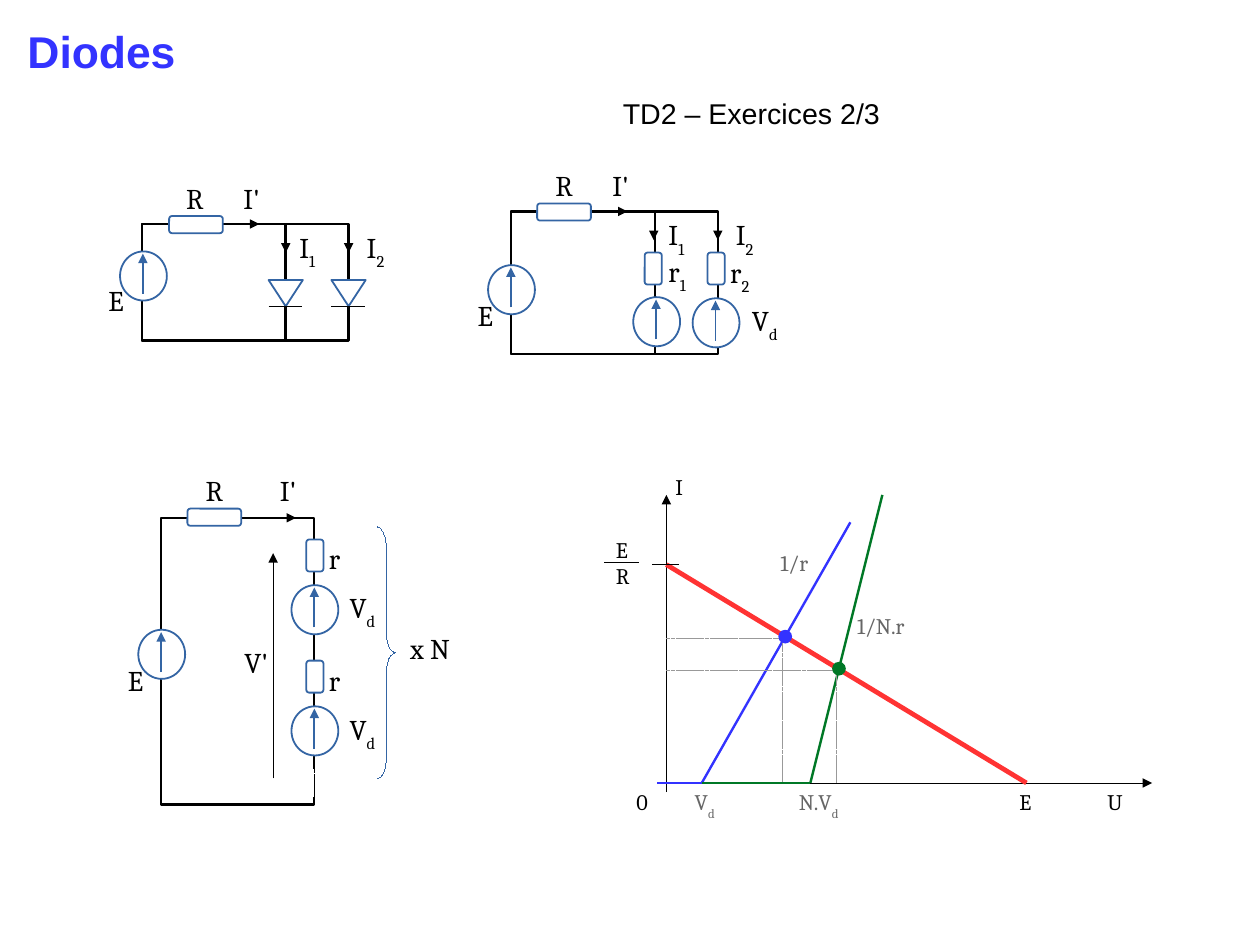
from lxml import etree
from pptx import Presentation
from pptx.dml.color import RGBColor
from pptx.enum.dml import MSO_LINE
from pptx.enum.shapes import MSO_CONNECTOR, MSO_SHAPE as SHAPE
from pptx.enum.text import MSO_ANCHOR, MSO_AUTO_SIZE, PP_ALIGN
from pptx.oxml.ns import qn
from pptx.util import Inches, Pt

COLORS = {
    "black": "000000", "white": "FFFFFF", "part": "3465A4", "blue": "3333FF",
    "red": "FF3333", "green": "007826", "gray": "666666", "guide": "999999",
}
HAIRLINE = 0.01

# The page measures 28 by 21 centimetres
deck = Presentation()
deck.slide_width, deck.slide_height = Inches(28 / 2.54), Inches(21 / 2.54)
page = deck.slides.add_slide(deck.slide_layouts[5])


def color(name):
    return RGBColor.from_string(COLORS[name])


def add_part(kind, left, top, width, height, fill="white", line="part", weight=1.13):
    """Draw a preset shape; fill or line may be None."""
    part = page.shapes.add_shape(kind, Inches(left), Inches(top), Inches(width), Inches(height))
    part.shadow.inherit = False
    if fill:
        part.fill.solid()
        part.fill.fore_color.rgb = color(fill)
    else:
        part.fill.background()
    if line:
        part.line.color.rgb = color(line)
        part.line.width = Pt(weight)
    else:
        part.line.fill.background()
    return part


# Title
title = page.shapes.title
title.left, title.top, title.width, title.height = map(Inches, (0.14, 0.16, 2.57, 0.97))
frame = title.text_frame
frame.auto_size = MSO_AUTO_SIZE.NONE
frame.vertical_anchor = MSO_ANCHOR.TOP
para = frame.paragraphs[0]
para.alignment = PP_ALIGN.LEFT
span = para.add_run()
span.text = "Diodes"
span.font.name, span.font.size, span.font.bold = "Arial", Pt(28), True
span.font.color.rgb = color("blue")

# Wires: outer loops and the inner parallel branch
for left, top, width, height in [
    (1.41, 4.53, 1.34, 2.51),
    (1.24, 1.96, 1.81, 1.02), (1.24, 1.96, 1.26, 1.02),
    (4.47, 1.85, 1.81, 1.25), (4.47, 1.85, 1.26, 1.25),
]:
    add_part(SHAPE.RECTANGLE, left, top, width, height, None, "black", 1.5)
add_part(SHAPE.RECTANGLE, 2.59, 6.73, 0.31, 0.24, "white", "white", HAIRLINE)

# Lines: start, end, colour, weight, style
lines = []

# Diodes
for left in (2.35, 2.9):
    add_part(SHAPE.FLOWCHART_MERGE, left, 2.45, 0.3, 0.23)
    lines.append(((left, 2.68), (left + 0.29, 2.68), "black", 1.02, ""))

# Voltage sources
for left, top in [
    (1.05, 2.2), (4.27, 2.32), (5.54, 2.6), (6.06, 2.61),
    (2.55, 5.12), (2.55, 6.18), (1.21, 5.51),
]:
    add_part(SHAPE.OVAL, left, top, 0.41, 0.43)
    lines.append(((left + 0.2, top + 0.37), (left + 0.2, top + 0.02), "part", 1.13, "arrow"))

# Resistors
flat, upright = (0.47, 0.15), (0.15, 0.28)
for left, top, (width, height) in [
    (1.48, 1.89, flat), (4.7, 1.78, flat), (1.64, 4.45, flat),
    (5.64, 2.21, upright), (6.19, 2.21, upright),
    (2.68, 4.72, upright), (2.68, 5.78, upright),
]:
    resistor = add_part(SHAPE.ROUNDED_RECTANGLE, left, top, width, height)
    resistor.adjustments[0] = 0.17

brace = add_part(SHAPE.RIGHT_BRACE, 3.3, 4.61, 0.16, 2.2, None, "part", HAIRLINE)
brace.adjustments[0] = 1.13

# Current arrows
for x, y in [(2.11, 1.96), (5.33, 1.85), (2.43, 4.53)]:
    lines.append(((x, y), (x + 0.16, y), "black", HAIRLINE, "arrow"))
for x, y in [(2.5, 2.04), (3.05, 2.04), (5.72, 1.93), (6.28, 1.93)]:
    lines.append(((x, y), (x, y + 0.17), "black", HAIRLINE, "arrow"))

lines += [
    ((2.75, 6.73), (2.75, 6.97), "black", HAIRLINE, "dash"),
    ((2.39, 6.81), (2.39, 4.84), "black", HAIRLINE, "arrow"),
    # Graph axes, load line and diode curves
    ((5.75, 6.85), (10.08, 6.85), "black", HAIRLINE, "arrow"),
    ((5.83, 6.93), (5.83, 4.33), "black", HAIRLINE, "arrow"),
    ((5.83, 4.94), (8.98, 6.85), "red", 3, ""),
    ((6.14, 6.85), (7.44, 4.57), "blue", 1.5, ""),
    ((5.71, 4.94), (5.94, 4.94), "black", HAIRLINE, ""),
    ((5.29, 4.92), (5.59, 4.92), "black", HAIRLINE, ""),
    ((6.85, 6.85), (6.85, 5.59), "guide", HAIRLINE, "dash"),
    ((5.83, 5.59), (6.81, 5.59), "guide", HAIRLINE, "dash"),
    ((6.14, 6.85), (5.75, 6.85), "blue", 1.5, ""),
    ((7.09, 6.85), (6.14, 6.85), "green", 1.5, ""),
    ((7.09, 6.85), (7.72, 4.33), "green", 1.5, ""),
    ((7.32, 6.85), (7.32, 5.91), "guide", HAIRLINE, "dash"),
    ((5.83, 5.87), (7.32, 5.87), "guide", HAIRLINE, "dash"),
]
for start, end, tint, weight, style in lines:
    link = page.shapes.add_connector(MSO_CONNECTOR.STRAIGHT, *map(Inches, start + end))
    link.line.color.rgb = color(tint)
    link.line.width = Pt(weight)
    if style == "dash":
        link.line.dash_style = MSO_LINE.SQUARE_DOT
    properties = link._element.spPr
    if style == "arrow":
        etree.SubElement(properties.find(qn("a:ln")), qn("a:tailEnd"), type="triangle")
    etree.SubElement(properties, qn("a:effectLst"))

# Operating points
for left, top, tint in [(6.81, 5.51, "blue"), (7.28, 5.79, "green")]:
    add_part(SHAPE.OVAL, left, top, 0.12, 0.12, tint, None)

# Labels; an underscore starts a subscript
circuit_labels = [
    ("E", 0.85, 2.43), ("R", 1.53, 1.53), ("I'", 2.03, 1.53),
    ("I_1", 2.52, 1.96), ("I_2", 3.11, 1.96),
    ("E", 4.08, 2.56), ("R", 4.76, 1.42), ("I'", 5.26, 1.42),
    ("I_1", 5.75, 1.85), ("I_2", 6.34, 1.85),
    ("r_1", 5.75, 2.17), ("r_2", 6.29, 2.18), ("V_d", 6.48, 2.6),
    ("V_d", 2.96, 5.11), ("r", 2.78, 4.68), ("V_d", 2.96, 6.18), ("r", 2.78, 5.75),
    ("E", 1.02, 5.75), ("R", 1.7, 4.09), ("I'", 2.35, 4.09),
    ("x N", 3.49, 5.47), ("V'", 2.04, 5.59),
]
axis_labels = [
    ("I", 5.81, 4.09), ("U", 9.59, 6.85), ("E\nR", 5.29, 4.64),
    ("E", 8.82, 6.85), ("0", 5.47, 6.85),
]
curve_labels = [
    ("V_d", 5.98, 6.85), ("N.V_d", 6.89, 6.85), ("1/r", 6.73, 4.76), ("1/N.r", 7.4, 5.31),
]
for labels, width, size, font, tint in [
    (circuit_labels, 0.61, 18, "Cambria", "black"),
    (axis_labels, 0.61, 14, "Cambria", "black"),
    (curve_labels, 0.67, 14, "Cambria", "gray"),
    ([("TD2 – Exercices 2/3", 5.35, 0.79)], 4.09, 18, "Arial", "black"),
]:
    for text, left, top in labels:
        box = page.shapes.add_textbox(Inches(left), Inches(top), Inches(width), Inches(0.47))
        frame = box.text_frame
        frame.word_wrap = True
        for row, words in enumerate(text.split("\n")):
            para = frame.add_paragraph() if row else frame.paragraphs[0]
            for index, piece in enumerate(words.split("_")):
                span = para.add_run()
                span.text = piece
                span.font.name, span.font.size = font, Pt(size)
                span.font.color.rgb = color(tint)
                if index:
                    span.font._element.set("baseline", "-33000")

deck.save("out.pptx")
